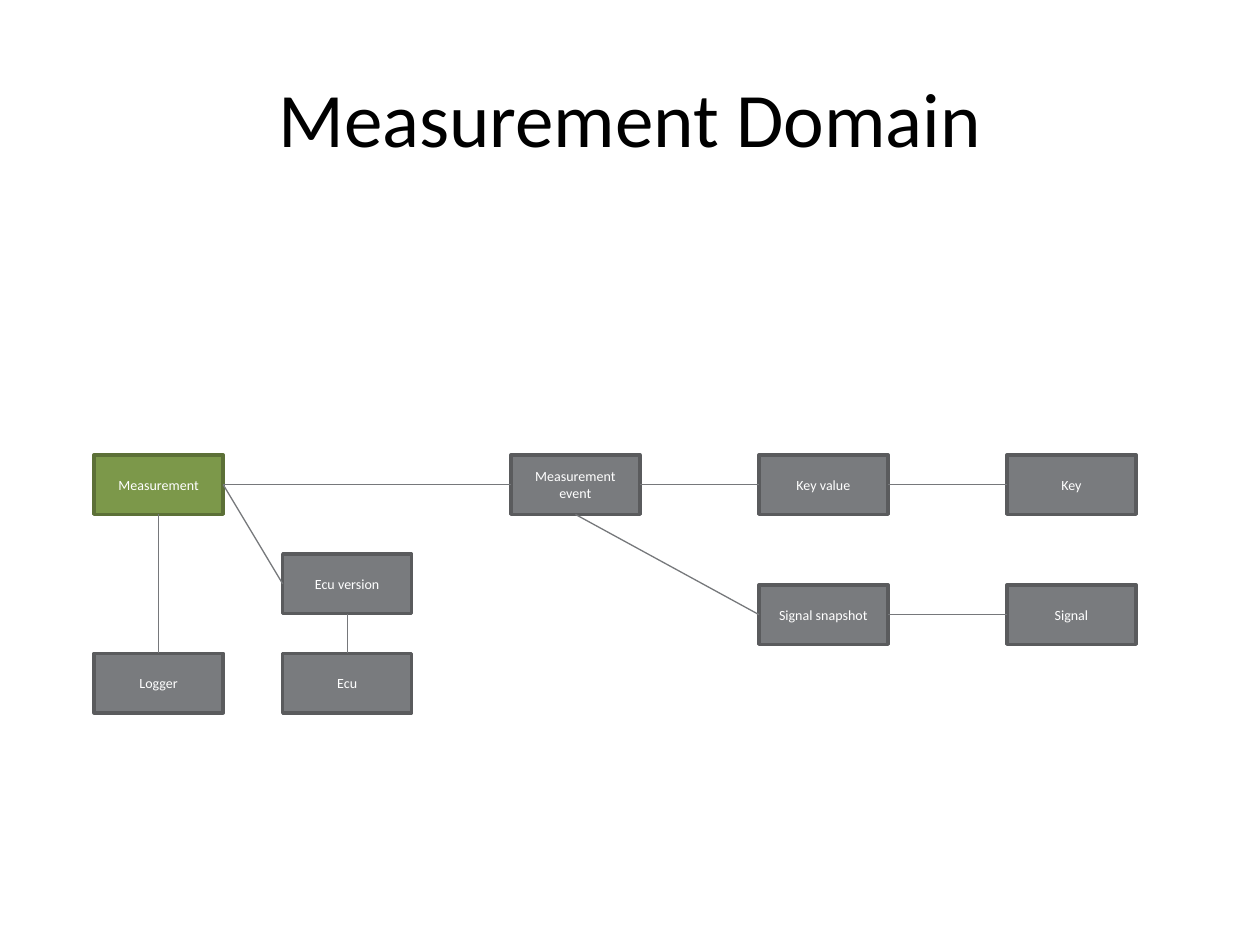
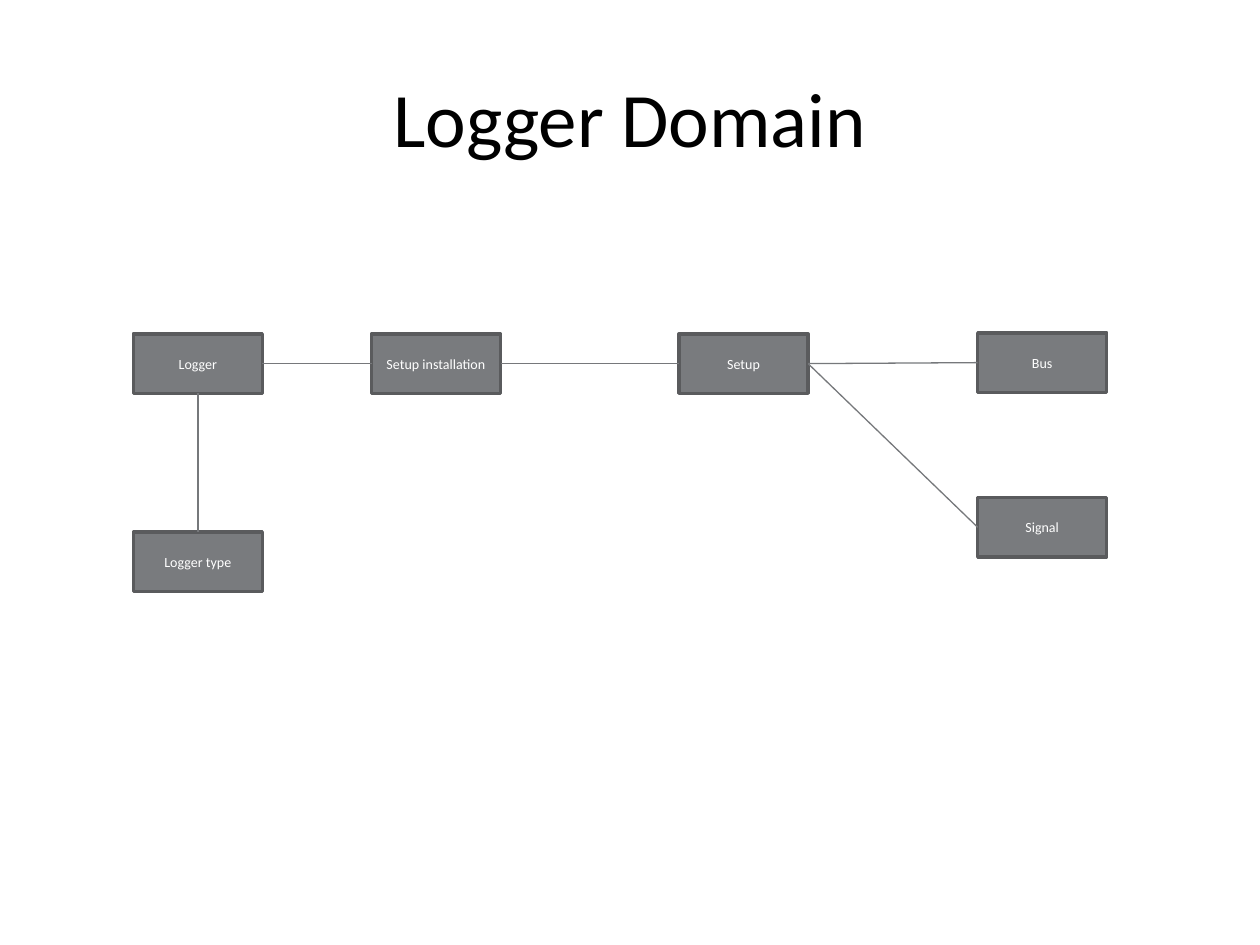
import pptx
import pptx.dml.color
import pptx.enum.shapes
import pptx.enum.text
import pptx.oxml
import pptx.util

Cm, Pt = pptx.util.Cm, pptx.util.Pt
RGBColor = pptx.dml.color.RGBColor

FONT = "Calibri"
BLACK = RGBColor(0x00, 0x00, 0x00)
WHITE = RGBColor(0xFF, 0xFF, 0xFF)
GREY = RGBColor(0x79, 0x7B, 0x7E)
GREY_EDGE = RGBColor(0x5A, 0x5B, 0x5D)
GREEN = RGBColor(0x7C, 0x98, 0x4A)
GREEN_EDGE = RGBColor(0x5C, 0x70, 0x37)
LINK = RGBColor(0x76, 0x78, 0x7B)

BOX_W, BOX_H = 2.6, 1.2
TOP, LEFT, BOTTOM, RIGHT = range(4)

# Entity offsets are in cm from the diagram's top left corner.
MEASUREMENT = {
    "title": "Measurement Domain",
    "origin": (1.9, 9.17),
    "root": "Measurement",
    "entities": {
        "Logger": (0, 4),
        "Ecu version": (3.8, 2),
        "Ecu": (3.8, 4),
        "Measurement": (0, 0),
        "Measurement event": (8.4, 0),
        "Key value": (13.4, 0),
        "Key": (18.4, 0),
        "Signal snapshot": (13.4, 2.62),
        "Signal": (18.4, 2.62),
    },
    "links": [
        ("Measurement", RIGHT, "Ecu version", LEFT),
        ("Measurement event", BOTTOM, "Signal snapshot", LEFT),
        ("Measurement", BOTTOM, "Logger", TOP),
        ("Ecu version", BOTTOM, "Ecu", TOP),
        ("Measurement", RIGHT, "Measurement event", LEFT),
        ("Measurement event", RIGHT, "Key value", LEFT),
        ("Key value", RIGHT, "Key", LEFT),
        ("Signal snapshot", RIGHT, "Signal", LEFT),
    ],
}

LOGGER = {
    "title": "Logger Domain",
    "origin": (2.69, 6.73),
    "root": None,
    "entities": {
        "Logger": (0, 0),
        "Logger type": (0, 4),
        "Setup installation": (4.8, 0),
        "Setup": (11, 0),
        "Bus": (17.02, -0.02),
        "Signal": (17.02, 3.3),
    },
    "links": [
        ("Logger", RIGHT, "Setup installation", LEFT),
        ("Setup installation", RIGHT, "Setup", LEFT),
        ("Setup", RIGHT, "Bus", LEFT),
        ("Setup", RIGHT, "Signal", LEFT),
        ("Logger", BOTTOM, "Logger type", TOP),
    ],
}


def write(tf, text, size, color):
    tf.text = text
    tf.word_wrap = True
    tf.vertical_anchor = pptx.enum.text.MSO_ANCHOR.MIDDLE
    p = tf.paragraphs[0]
    p.alignment = pptx.enum.text.PP_ALIGN.CENTER
    for r in p.runs:
        r.font.name = FONT
        r.font.size = Pt(size)
        r.font.color.rgb = color


def add_title(s, text):
    sp = s.shapes.title
    sp.left, sp.top, sp.width, sp.height = Cm(1.27), Cm(0.76), Cm(22.86), Cm(3.18)
    write(sp.text_frame, text, 44, BLACK)


def add_entity(s, name, left, top, fill, edge):
    sp = s.shapes.add_shape(pptx.enum.shapes.MSO_SHAPE.RECTANGLE,
                            Cm(left), Cm(top), Cm(BOX_W), Cm(BOX_H))
    sp.shadow.inherit = False
    sp.fill.solid()
    sp.fill.fore_color.rgb = fill
    sp.line.color.rgb = edge
    sp.line.width = Pt(2)
    write(sp.text_frame, name, 8, WHITE)
    return sp


def add_link(s, start, start_side, end, end_side):
    cxn = s.shapes.add_connector(pptx.enum.shapes.MSO_CONNECTOR.STRAIGHT, 0, 0, 0, 0)
    cxn.begin_connect(start, start_side)
    cxn.end_connect(end, end_side)
    cxn.line.color.rgb = LINK
    cxn.line.width = Pt(0.75)
    cxn.element.spPr.append(pptx.oxml.parse_xml(
        '<a:effectLst xmlns:a="http://schemas.openxmlformats.org/drawingml/2006/main"/>'))


def add_diagram(s, left, top, entities, links, root):
    """Draw the entities relative to (left, top) and join them; root is green."""
    boxes = {}
    for name, (x, y) in entities.items():
        fill, edge = (GREEN, GREEN_EDGE) if name == root else (GREY, GREY_EDGE)
        boxes[name] = add_entity(s, name, left + x, top + y, fill, edge)
    for start, start_side, end, end_side in links:
        add_link(s, boxes[start], start_side, boxes[end], end_side)


def add_domain_slide(prs, domain):
    s = prs.slides.add_slide(prs.slide_layouts.get_by_name("Title Only"))
    s.background.fill.solid()
    s.background.fill.fore_color.rgb = WHITE
    add_title(s, domain["title"])
    add_diagram(s, *domain["origin"], domain["entities"], domain["links"], domain["root"])


def main():
    prs = pptx.Presentation()
    prs.slide_width, prs.slide_height = Cm(25.4), Cm(19.05)
    for domain in (MEASUREMENT, LOGGER):
        add_domain_slide(prs, domain)
    prs.save("out.pptx")


if __name__ == "__main__":
    main()
